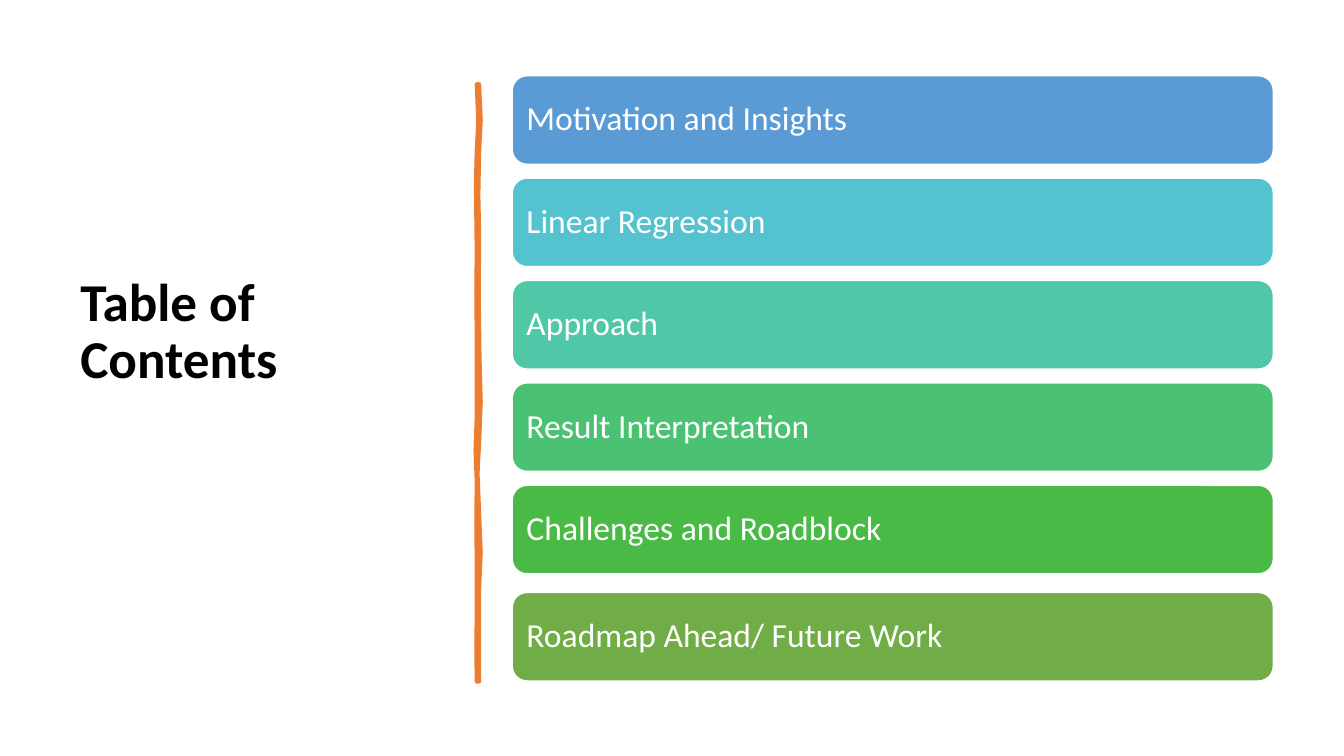
from pptx import Presentation, util as u
from pptx.dml.color import RGBColor
from pptx.enum import shapes, text
from pptx.oxml.ns import qn
from lxml import etree

FONT = "Calibri"
BLACK = RGBColor(0x00, 0x00, 0x00)
WHITE = RGBColor(0xFF, 0xFF, 0xFF)
ORANGE = RGBColor(0xED, 0x7D, 0x31)
BLUE = RGBColor(0x5B, 0x9B, 0xD5)
TURQUOISE = RGBColor(0x55, 0xC3, 0xCF)
TEAL = RGBColor(0x50, 0xC8, 0xA7)
MINT = RGBColor(0x4B, 0xC1, 0x74)
GREEN = RGBColor(0x4A, 0xBA, 0x46)
OLIVE = RGBColor(0x70, 0xAD, 0x47)

TOPICS = [
    ("Motivation and Insights", BLUE),
    ("Linear Regression", TURQUOISE),
    ("Approach", TEAL),
    ("Result Interpretation", MINT),
    ("Challenges and Roadblock", GREEN),
    ("Roadmap Ahead/ Future Work", OLIVE),
]
BAR_HEIGHT = 2.23
BAR_PITCH = 2.58

# Outline of the hand-drawn divider in hundredths of a centimetre: (across, down)
RIGHT_EDGE = [(5, 0), (9, 90), (5, 170), (3, 280), (5, 370), (4, 530), (6, 690),
              (9, 800), (5, 900), (1, 980), (5, 1080), (9, 1180), (5, 1270), (5, 1504)]
LEFT_EDGE = [(0, 1504), (-1, 1410), (0, 1340), (0, 1200), (-1, 1110), (0, 1000),
             (-3, 920), (0, 840), (0, 640), (-1, 520), (0, 420), (-2, 250),
             (0, 170), (4, 90), (0, 0)]


def format_paragraph(paragraph, size, color, bold=False):
    """Left-align a paragraph and set the font of its runs."""
    paragraph.alignment = text.PP_ALIGN.LEFT
    paragraph.line_spacing = 0.9
    for run in paragraph.runs:
        run.font.name = FONT
        run.font.size = u.Pt(size)
        run.font.bold = bold
        run.font.color.rgb = color


def add_heading(slide, left, top, width, height):
    """Fill the title placeholder, with its text a little above the middle."""
    title = slide.shapes.title
    title.left, title.top = u.Cm(left), u.Cm(top)
    title.width, title.height = u.Cm(width), u.Cm(height)
    frame = title.text_frame
    frame.text = "Table of Contents"
    frame.word_wrap = True
    frame.auto_size = text.MSO_AUTO_SIZE.NONE
    frame.vertical_anchor = text.MSO_ANCHOR.MIDDLE
    frame.margin_bottom = u.Cm(2.43)
    format_paragraph(frame.paragraphs[0], 38, BLACK, bold=True)


def add_divider(slide, left, top):
    """Draw the wavy upright stroke from its top left corner."""
    points = RIGHT_EDGE + LEFT_EDGE
    builder = slide.shapes.build_freeform(*points[0], scale=u.Cm(1) / 100)
    builder.add_line_segments(points[1:], close=True)
    divider = builder.convert_to_shape(u.Cm(left), u.Cm(top))
    divider.shadow.inherit = False
    divider.fill.solid()
    divider.fill.fore_color.rgb = ORANGE
    divider.line.color.rgb = ORANGE
    divider.line.width = u.Pt(3.25)
    etree.SubElement(divider.line._get_or_add_ln(), qn("a:round"))


def add_topic_bar(slide, topic, color, left, top, width, height):
    """Add one rounded bar with its topic."""
    bar = slide.shapes.add_shape(shapes.MSO_SHAPE.ROUNDED_RECTANGLE,
                                 u.Cm(left), u.Cm(top), u.Cm(width), u.Cm(height))
    bar.shadow.inherit = False
    bar.fill.solid()
    bar.fill.fore_color.rgb = color
    bar.line.color.rgb = WHITE
    bar.line.width = u.Pt(1)
    frame = bar.text_frame
    frame.text = topic
    frame.word_wrap = True
    frame.vertical_anchor = text.MSO_ANCHOR.MIDDLE
    frame.margin_left = frame.margin_right = u.Cm(0.25)
    format_paragraph(frame.paragraphs[0], 24, WHITE)


def add_topics(slide, left, top, width, height):
    """Stack the bars at an equal pitch, the last one at the foot of the box."""
    tops = [top + BAR_PITCH * index for index in range(len(TOPICS) - 1)]
    tops.append(top + height - BAR_HEIGHT)
    for (topic, color), bar_top in zip(TOPICS, tops):
        add_topic_bar(slide, topic, color, left, bar_top, width, BAR_HEIGHT)


def build_contents_slide(presentation):
    """Build the table of contents from heading, divider and topics."""
    slide = presentation.slides.add_slide(presentation.slide_layouts.get_by_name("Title Only"))
    add_heading(slide, left=1.77, top=1.78, width=9.5, height=15.52)
    add_divider(slide, left=12.02, top=2.13)
    add_topics(slide, left=12.91, top=1.91, width=19.18, height=15.25)


presentation = Presentation()
presentation.slide_width = u.Cm(33.87)
presentation.slide_height = u.Cm(19.05)
build_contents_slide(presentation)
presentation.save("out.pptx")
